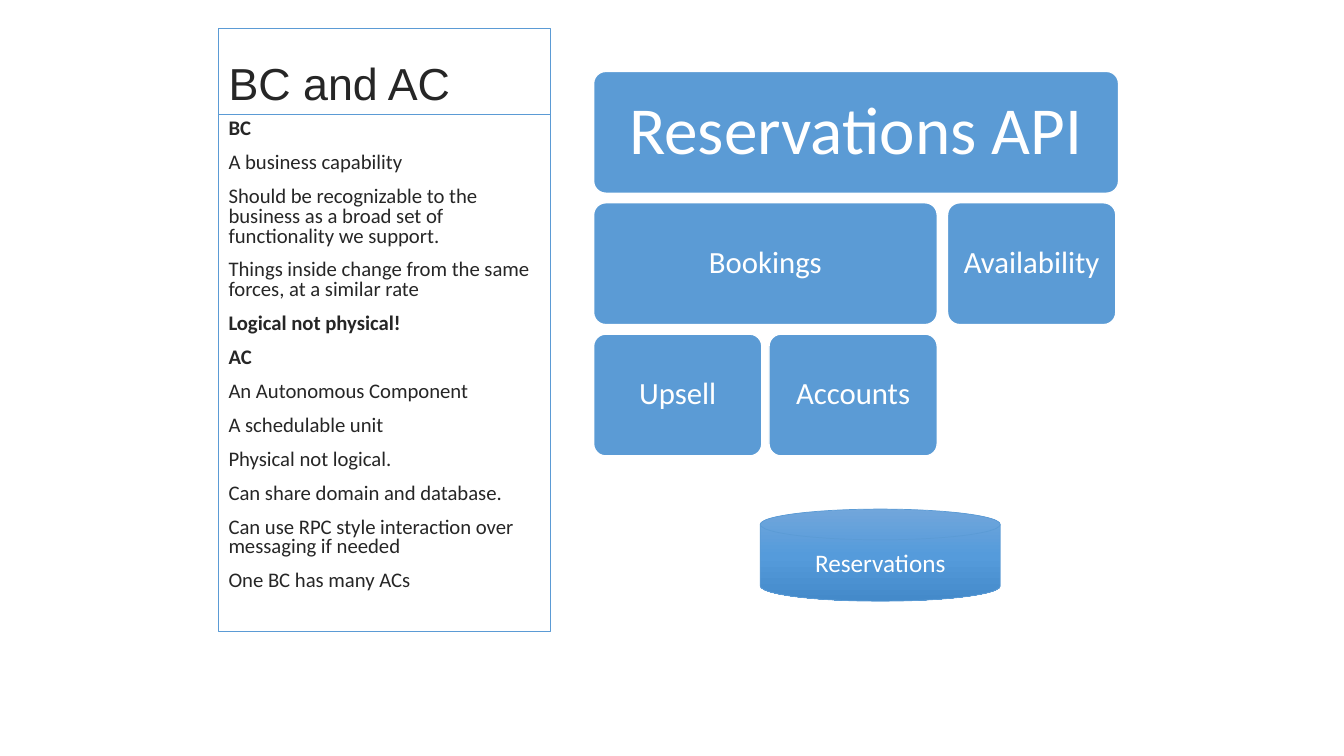
from copy import deepcopy

from pptx import Presentation
from pptx.dml.color import RGBColor
from pptx.enum.shapes import MSO_SHAPE
from pptx.enum.text import MSO_ANCHOR, PP_ALIGN
from pptx.oxml.ns import qn
from pptx.util import Cm, Pt

RECT, ROUNDED, DISK = MSO_SHAPE.RECTANGLE, MSO_SHAPE.ROUNDED_RECTANGLE, MSO_SHAPE.FLOWCHART_MAGNETIC_DISK
TOP, MIDDLE, BOTTOM = MSO_ANCHOR.TOP, MSO_ANCHOR.MIDDLE, MSO_ANCHOR.BOTTOM
LEFT, CENTER = PP_ALIGN.LEFT, PP_ALIGN.CENTER
BLUE = RGBColor(0x5B, 0x9B, 0xD5)
WHITE = RGBColor(0xFF, 0xFF, 0xFF)
DARK = RGBColor(0x26, 0x26, 0x26)
DISK_STOPS = [
    (0, RGBColor(0x71, 0xA6, 0xDB)),
    (0.5, RGBColor(0x55, 0x9B, 0xDB)),
    (1, RGBColor(0x44, 0x8A, 0xCA)),
]

TITLE = "BC and AC"
NOTES = [
    "BC",
    "A business capability",
    "Should be recognizable to the business as a broad set of functionality we support.",
    "Things inside change from the same forces, at a similar rate",
    "Logical not physical!",
    "AC",
    "An Autonomous Component",
    "A schedulable unit",
    "Physical not logical.",
    "Can share domain and database.",
    "Can use RPC style interaction over messaging if needed",
    "One BC has many ACs",
]
BOLD_NOTES = {"BC", "Logical not physical!", "AC"}
CARDS = [
    ("Reservations API", 0, 0, 13.23, 48),
    ("Bookings", 1, 0, 8.66, 22),
    ("Availability", 1, 2, 4.24, 22),
    ("Upsell", 2, 0, 4.24, 22),
    ("Accounts", 2, 1, 4.24, 22),
]
DATABASE = "Reservations"

PANEL_X, PANEL_W = 5.51, 8.36
COLUMNS = [14.96, 19.38, 23.88]
CARD_TOP, CARD_H, ROW_STEP = 1.8, 3.07, 3.31


def add_box(kind, x, y, w, h, line=BLUE, line_width=0.75, fill=None):
    sp = s.shapes.add_shape(kind, Cm(x), Cm(y), Cm(w), Cm(h))
    sp.shadow.inherit = False
    sp.line.color.rgb = line
    sp.line.width = Pt(line_width)
    if fill is None:
        sp.fill.background()
    else:
        sp.fill.solid()
        sp.fill.fore_color.rgb = fill
    return sp


def write(sp, lines, size, font="Calibri", color=WHITE, align=CENTER, anchor=MIDDLE,
          spacing=1.0, before=0, bold=()):
    tf = sp.text_frame
    tf.word_wrap = True
    tf.vertical_anchor = anchor
    for i, text in enumerate(lines):
        p = tf.paragraphs[0] if i == 0 else tf.add_paragraph()
        p.alignment = align
        p.line_spacing = spacing
        p.space_before = Pt(before)
        r = p.add_run()
        r.text = text
        r.font.name = font
        r.font.size = Pt(size)
        r.font.bold = text in bold
        r.font.color.rgb = color


prs = Presentation()
prs.slide_width, prs.slide_height = Cm(33.87), Cm(19.05)
s = prs.slides.add_slide(prs.slide_layouts[6])

title = add_box(RECT, PANEL_X, 0.71, PANEL_W, 2.18)
write(title, [TITLE], 32, font="Arial", color=DARK, align=LEFT, anchor=BOTTOM, spacing=0.9)

notes = add_box(RECT, PANEL_X, 2.89, PANEL_W, 13.03)
write(notes, NOTES, 14.8, color=DARK, align=LEFT, anchor=TOP, spacing=0.8, before=10, bold=BOLD_NOTES)

for text, row, column, width, size in CARDS:
    card = add_box(ROUNDED, COLUMNS[column], CARD_TOP + row * ROW_STEP, width, CARD_H,
                   line=WHITE, line_width=1, fill=BLUE)
    card.adjustments[0] = 0.1
    write(card, [text], size, spacing=0.9)

disk = add_box(DISK, 19.16, 12.83, 6.05, 2.32, line_width=0.5)
disk.fill.gradient()
disk.fill.gradient_angle = 270
stops = disk._element.spPr.find(qn("a:gradFill")).find(qn("a:gsLst"))
stops.insert(1, deepcopy(stops[0]))
for stop, (position, color) in zip(disk.fill.gradient_stops, DISK_STOPS):
    stop.position = position
    stop.color.rgb = color
write(disk, [DATABASE], 18)

prs.save("out.pptx")
